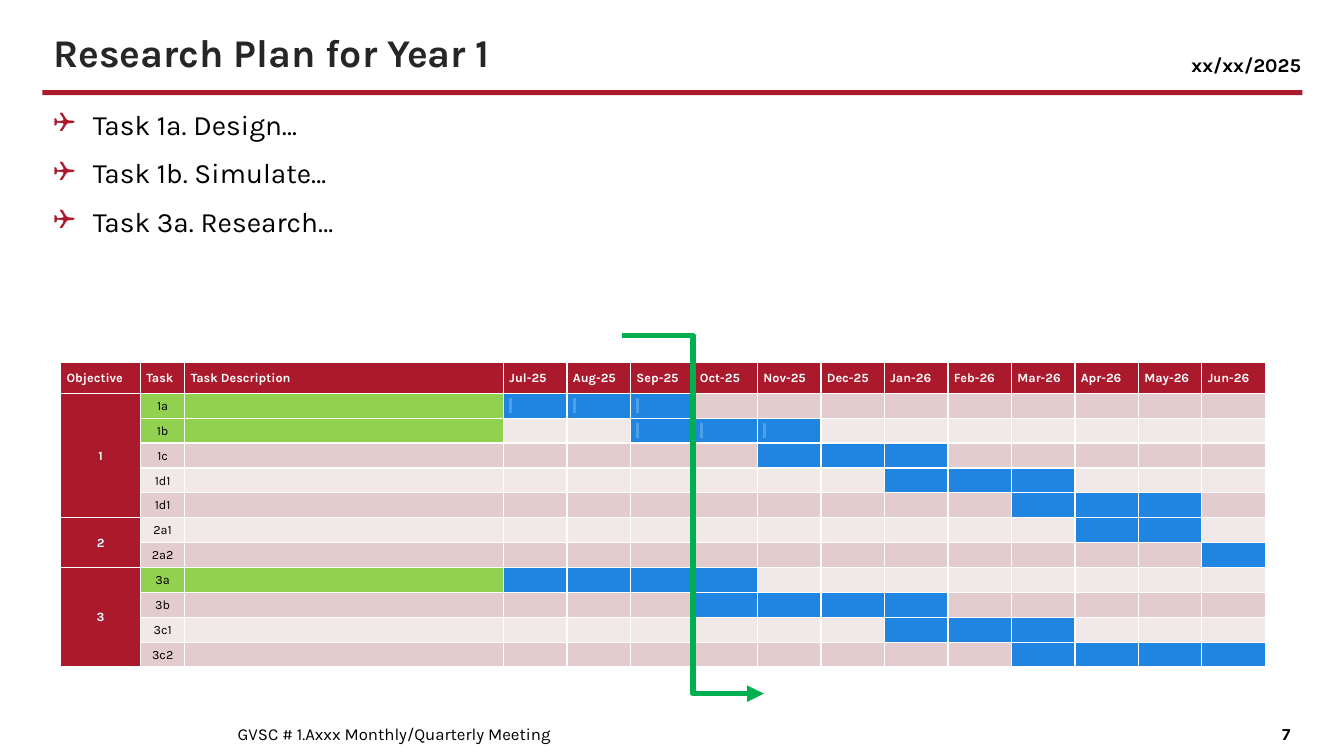
from dataclasses import dataclass

from lxml import etree
from pptx import Presentation
from pptx.dml.color import RGBColor
from pptx.enum.shapes import MSO_CONNECTOR, MSO_SHAPE
from pptx.enum.text import MSO_ANCHOR, PP_ALIGN
from pptx.oxml.ns import qn
from pptx.util import Cm, Pt

LEFT, CENTER, RIGHT, JUSTIFY = PP_ALIGN.LEFT, PP_ALIGN.CENTER, PP_ALIGN.RIGHT, PP_ALIGN.JUSTIFY
TOP, MIDDLE, BOTTOM = MSO_ANCHOR.TOP, MSO_ANCHOR.MIDDLE, MSO_ANCHOR.BOTTOM
RECTANGLE = MSO_SHAPE.RECTANGLE
ELBOW = MSO_CONNECTOR.ELBOW


@dataclass(frozen=True)
class Theme:
    font: str = "Karla"
    bullet_font: str = "Wingdings"
    red: str = "AB192D"
    ink: str = "262626"
    black: str = "000000"
    white: str = "FFFFFF"
    current: str = "92D050"
    planned: str = "2085E0"
    mark: str = "4BA0E8"
    bands: tuple = ("E2CCCD", "F1E8E8")
    today: str = "00B050"
    title_size: int = 28
    body_size: int = 20
    date_size: int = 14
    footer_size: int = 12
    table_size: int = 9


THEME = Theme()

TASKS = ["Task 1a. Design…", "Task 1b. Simulate…", "Task 3a. Research…"]
MONTHS = ["Jul-25", "Aug-25", "Sep-25", "Oct-25", "Nov-25", "Dec-25",
          "Jan-26", "Feb-26", "Mar-26", "Apr-26", "May-26", "Jun-26"]
HEADINGS = ["Objective", "Task", "Task Description"] + MONTHS
OBJECTIVES = [("1", 5), ("2", 2), ("3", 4)]
SCHEDULE = [
    ("1a", "Jul-25", 3), ("1b", "Sep-25", 3), ("1c", "Nov-25", 3),
    ("1d1", "Jan-26", 3), ("1d1", "Mar-26", 3), ("2a1", "Apr-26", 2),
    ("2a2", "Jun-26", 1), ("3a", "Jul-25", 4), ("3b", "Oct-25", 4),
    ("3c1", "Jan-26", 3), ("3c2", "Mar-26", 4),
]
CURRENT_TASKS = {"1a", "1b", "3a"}
MARKED_TASKS = {"1a", "1b"}
FIRST_MONTH = HEADINGS.index(MONTHS[0])
COLUMN_WIDTHS = [2.01, 1.12, 8.03] + [1.6] * len(MONTHS)
TABLE_HEIGHT, HEADER_HEIGHT = 7.67, 0.77
ROW_HEIGHT = (TABLE_HEIGHT - HEADER_HEIGHT) / len(SCHEDULE)


def color(code):
    return RGBColor.from_string(code)


def style(para, size, code, bold=False, align=LEFT):
    para.alignment = align
    font = para.font
    font.name = THEME.font
    font.size = Pt(size)
    font.bold = bold
    font.color.rgb = color(code)


def add_text(page, area, lines, size, code, bold=False, align=LEFT, anchor=TOP):
    frame = page.shapes.add_textbox(*map(Cm, area)).text_frame
    frame.word_wrap = True
    frame.vertical_anchor = anchor
    frame.text = "\n".join(lines)
    for para in frame.paragraphs:
        style(para, size, code, bold, align)
    return frame


def add_bullets(page, area, lines):
    for para in add_text(page, area, lines, THEME.body_size, THEME.black).paragraphs:
        para.line_spacing = 0.95
        para.space_before = Pt(12)
        properties = para._p.get_or_add_pPr()
        properties.set("marL", str(Cm(1)))
        properties.set("indent", str(-Cm(1)))
        bullet_color = etree.Element(qn("a:buClr"))
        etree.SubElement(bullet_color, qn("a:srgbClr"), val=THEME.red)
        bullet_font = etree.Element(qn("a:buFont"), typeface=THEME.bullet_font)
        bullet = etree.Element(qn("a:buChar"), char="❑")
        defaults = properties.find(qn("a:defRPr"))
        for element in (bullet_color, bullet_font, bullet):
            defaults.addprevious(element)


def add_rule(page, area):
    rule = page.shapes.add_shape(RECTANGLE, *map(Cm, area))
    rule.shadow.inherit = False
    rule.fill.solid()
    rule.fill.fore_color.rgb = color(THEME.red)
    rule.line.fill.background()


def add_borders(cell):
    properties = cell._tc.get_or_add_tcPr()
    for side in ("lnL", "lnR", "lnT", "lnB"):
        border = etree.SubElement(properties, qn(f"a:{side}"), w=str(Pt(1)))
        fill = etree.SubElement(border, qn("a:solidFill"))
        etree.SubElement(fill, qn("a:srgbClr"), val=THEME.white)


def paint_cell(cell, fill, text="", code=THEME.black, bold=False, align=CENTER):
    add_borders(cell)
    cell.fill.solid()
    cell.fill.fore_color.rgb = color(fill)
    cell.margin_left = cell.margin_right = Cm(0.15)
    cell.margin_top = cell.margin_bottom = 0
    cell.vertical_anchor = MIDDLE
    para = cell.text_frame.paragraphs[0]
    if text:
        para.add_run().text = text
        para.line_spacing = 1.07
        para.space_after = Pt(8)
    style(para, THEME.table_size, code, bold, align)


def mark_cell(cell):
    para = cell.text_frame.paragraphs[0]
    para.alignment = LEFT
    span = para.add_run()
    span.text = " "
    highlight = etree.SubElement(span._r.get_or_add_rPr(), qn("a:highlight"))
    etree.SubElement(highlight, qn("a:srgbClr"), val=THEME.mark)


def fill_task_row(table, row, task, start, length):
    band = THEME.bands[(row - 1) % 2]
    label_fill = THEME.current if task in CURRENT_TASKS else band
    paint_cell(table.cell(row, 1), label_fill, task)
    paint_cell(table.cell(row, 2), label_fill)
    first = HEADINGS.index(start)
    for column in range(FIRST_MONTH, len(HEADINGS)):
        cell = table.cell(row, column)
        planned = first <= column < first + length
        paint_cell(cell, THEME.planned if planned else band)
        if planned and task in MARKED_TASKS:
            mark_cell(cell)


def add_schedule(page, left, top):
    table = page.shapes.add_table(len(SCHEDULE) + 1, len(HEADINGS), Cm(left), Cm(top),
                                  Cm(sum(COLUMN_WIDTHS)), Cm(TABLE_HEIGHT)).table
    table.first_row = table.horz_banding = False
    for column, width in zip(table.columns, COLUMN_WIDTHS):
        column.width = Cm(width)
    for row in table.rows:
        row.height = Cm(ROW_HEIGHT)
    table.rows[0].height = Cm(HEADER_HEIGHT)
    for column, heading in enumerate(HEADINGS):
        paint_cell(table.cell(0, column), THEME.red, heading, THEME.white, True, JUSTIFY)
    for row, entry in enumerate(SCHEDULE, 1):
        fill_task_row(table, row, *entry)
    row = 1
    for objective, count in OBJECTIVES:
        cell = table.cell(row, 0)
        cell.merge(table.cell(row + count - 1, 0))
        paint_cell(cell, THEME.red, objective, THEME.white, True)
        row += count


def add_today_arrow(page, ends):
    arrow = page.shapes.add_connector(ELBOW, *map(Cm, ends))
    arrow.line.color.rgb = color(THEME.today)
    arrow.line.width = Pt(4)
    etree.SubElement(arrow.line._get_or_add_ln(), qn("a:tailEnd"), type="triangle")
    etree.SubElement(arrow._element.spPr, qn("a:effectLst"))


def main():
    deck = Presentation()
    deck.slide_width, deck.slide_height = Cm(33.87), Cm(19.05)
    page = deck.slides.add_slide(deck.slide_layouts[6])
    add_rule(page, (1.07, 2.27, 31.75, 0.13))
    add_text(page, (1.09, 0.43, 31.7, 1.6), ["Research Plan for Year 1"],
             THEME.title_size, THEME.ink, bold=True, anchor=BOTTOM)
    add_bullets(page, (1.09, 2.64, 31.7, 7.11), TASKS)
    add_text(page, (30.99, 18.19, 1.78, 0.61), ["7"],
             THEME.footer_size, THEME.black, bold=True, align=RIGHT, anchor=MIDDLE)
    add_text(page, (5.74, 18.19, 24.89, 0.61), ["GVSC # 1.Axxx Monthly/Quarterly Meeting"],
             THEME.footer_size, THEME.black, anchor=MIDDLE)
    add_schedule(page, 1.53, 9.14)
    add_text(page, (29.06, 1.22, 3.98, 0.84), ["xx/xx/2025"],
             THEME.date_size, THEME.black, bold=True, align=RIGHT)
    add_today_arrow(page, (15.67, 8.46, 19.25, 17.48))
    deck.save("out.pptx")


if __name__ == "__main__":
    main()
